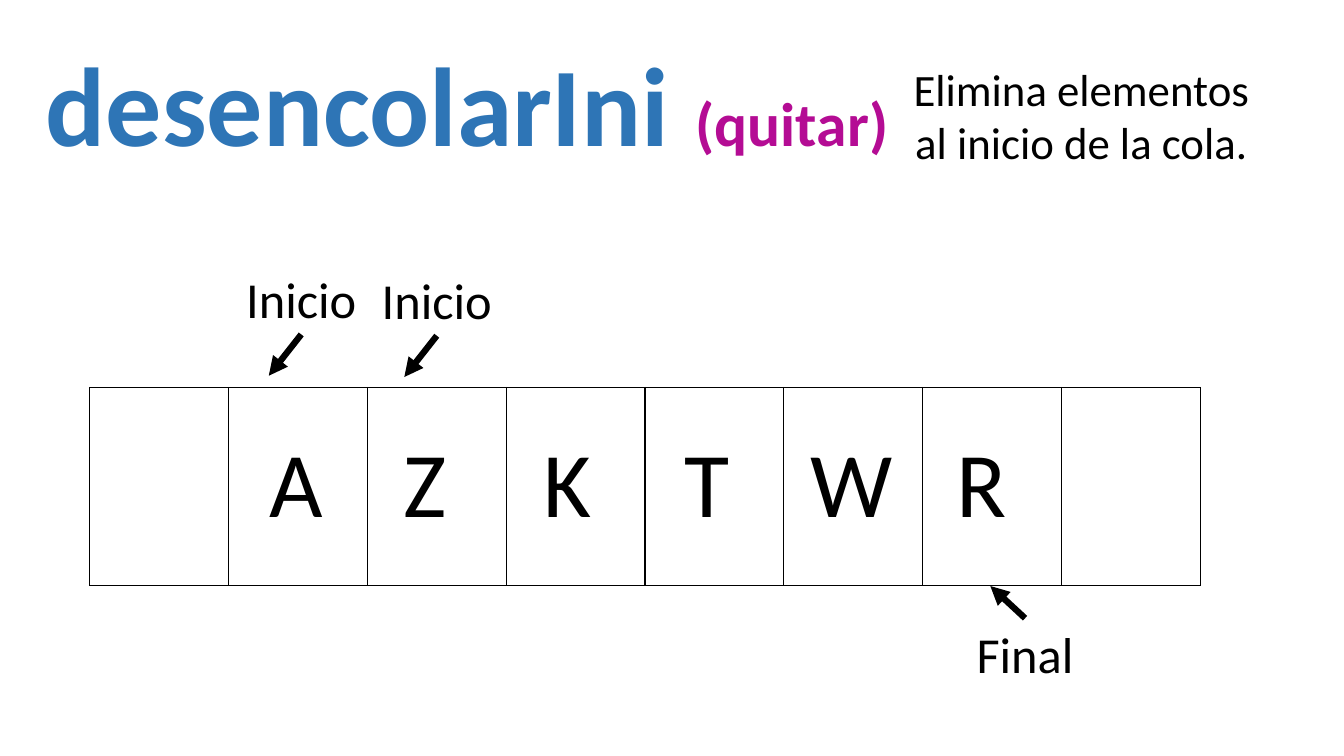
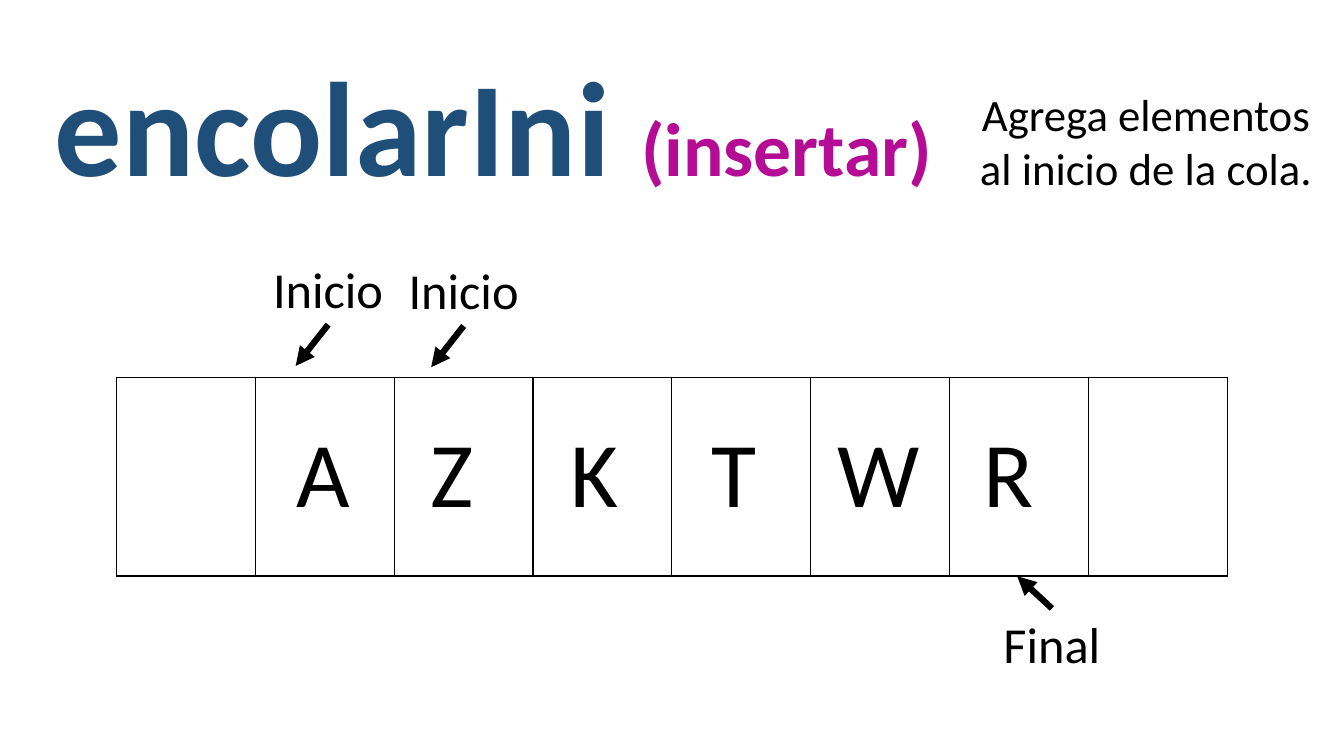
"""Build two slides about removing from and inserting at the start of a queue."""
from dataclasses import dataclass

from lxml import etree
from pptx import Presentation
from pptx.dml.color import RGBColor
from pptx.enum import shapes, text
from pptx.oxml import ns
from pptx.util import Pt


@dataclass(frozen=True)
class Theme:
    font: str = "Calibri"
    ink: str = "000000"
    accent: str = "B40C94"
    label_size: float = 36
    letter_size: float = 66
    note_size: float = 32
    border: float = 1
    arrow: float = 4.5


THEME = Theme()
SLIDES = [
    {
        "title": [("desencolarIni ", 80, "2E75B6"), ("(quitar)", 44, THEME.accent)],
        "title_box": (22.3, 20.9, 622.8, 104.4),
        "note": "Elimina elementos al inicio de la cola.",
        "note_box": (645, 40.3, 255, 85),
        "queue": (64, 276.7),
    },
    {
        "title": [("encolarIni ", 96, "1F4E79"), ("(insertar)", 54, THEME.accent)],
        "title_box": (13, 26.6, 679, 123.8),
        "note": "Agrega elementos al inicio de la cola.",
        "note_box": (691.2, 58.3, 255, 85),
        "queue": (83.2, 269.7),
    },
]
COLUMNS, CELL_WIDTH, CELL_HEIGHT = 8, 99.2, 141.8
LETTERS = [("A", 22.5), ("Z", 19), ("K", 19.9), ("T", 20.8), ("W", 11.6), ("R", 16.8)]
LETTER_TOP, LETTER_SIZE = 23.5, (62, 87.3)
TOP, BOTTOM = 0, 2
POINTERS = [
    ("Inicio", 104.4, -88.7, BOTTOM, (-23.2, 29.5)),
    ("Inicio", 201.2, -87.8, BOTTOM, (-23.2, 29.5)),
    ("Final", 621.4, 164.9, TOP, (-24.8, -23)),
]
POINTER_SIZE = (93.6, 50.9)


def style(font, size, color, bold=False):
    font.name, font.size, font.bold = THEME.font, Pt(size), bold
    font.color.rgb = RGBColor.from_string(color)


def add_text(slide, words, box, size, align=text.PP_ALIGN.CENTER):
    shape = slide.shapes.add_textbox(*map(Pt, box))
    frame = shape.text_frame
    frame.text = words
    frame.word_wrap = True
    paragraph = frame.paragraphs[0]
    paragraph.alignment = align
    style(paragraph.runs[0].font, size, THEME.ink)
    return shape


def add_title(slide, runs, box):
    title = slide.shapes.title
    title.left, title.top, title.width, title.height = map(Pt, box)
    frame = title.text_frame
    frame.auto_size = text.MSO_AUTO_SIZE.NONE
    frame.vertical_anchor = text.MSO_ANCHOR.TOP
    paragraph = frame.paragraphs[0]
    paragraph.alignment = text.PP_ALIGN.CENTER
    for words, size, color in runs:
        run = paragraph.add_run()
        run.text = words
        style(run.font, size, color, bold=True)


def add_borders(cell):
    properties = cell._tc.get_or_add_tcPr()
    for side in ("a:lnL", "a:lnR", "a:lnT", "a:lnB"):
        line = etree.SubElement(properties, ns.qn(side), w=str(Pt(THEME.border)))
        fill = etree.SubElement(line, ns.qn("a:solidFill"))
        etree.SubElement(fill, ns.qn("a:srgbClr"), val=THEME.ink)


def add_queue(slide, left, top):
    box = (left, top, COLUMNS * CELL_WIDTH, CELL_HEIGHT)
    table = slide.shapes.add_table(1, COLUMNS, *map(Pt, box)).table
    table.first_row = table.horz_banding = False
    for column in table.columns:
        column.width = Pt(CELL_WIDTH)
    for cell in table.iter_cells():
        add_borders(cell)
        cell.fill.background()
    for index, (letter, indent) in enumerate(LETTERS, start=1):
        place = (left + index * CELL_WIDTH + indent, top + LETTER_TOP)
        add_text(slide, letter, place + LETTER_SIZE, THEME.letter_size, text.PP_ALIGN.LEFT)


def add_pointer(slide, words, left, top, side, reach):
    width, height = POINTER_SIZE
    label = add_text(slide, words, (left, top, width, height), THEME.label_size)
    start = (left + width / 2, top + (height if side == BOTTOM else 0))
    end = (start[0] + reach[0], start[1] + reach[1])
    arrow = slide.shapes.add_connector(shapes.MSO_CONNECTOR.STRAIGHT, *map(Pt, start + end))
    arrow.begin_connect(label, side)
    arrow.line.width = Pt(THEME.arrow)
    arrow.line.color.rgb = RGBColor.from_string(THEME.ink)
    etree.SubElement(arrow.line._get_or_add_ln(), ns.qn("a:tailEnd"), type="triangle")
    etree.SubElement(arrow._element.spPr, ns.qn("a:effectLst"))


def main():
    presentation = Presentation()
    presentation.slide_width, presentation.slide_height = Pt(960), Pt(540)
    title_only = presentation.slide_layouts[5]
    for content in SLIDES:
        slide = presentation.slides.add_slide(title_only)
        add_title(slide, content["title"], content["title_box"])
        add_text(slide, content["note"], content["note_box"], THEME.note_size)
        left, top = content["queue"]
        add_queue(slide, left, top)
        for words, across, down, side, reach in POINTERS:
            add_pointer(slide, words, left + across, top + down, side, reach)
    presentation.save("out.pptx")


if __name__ == "__main__":
    main()
